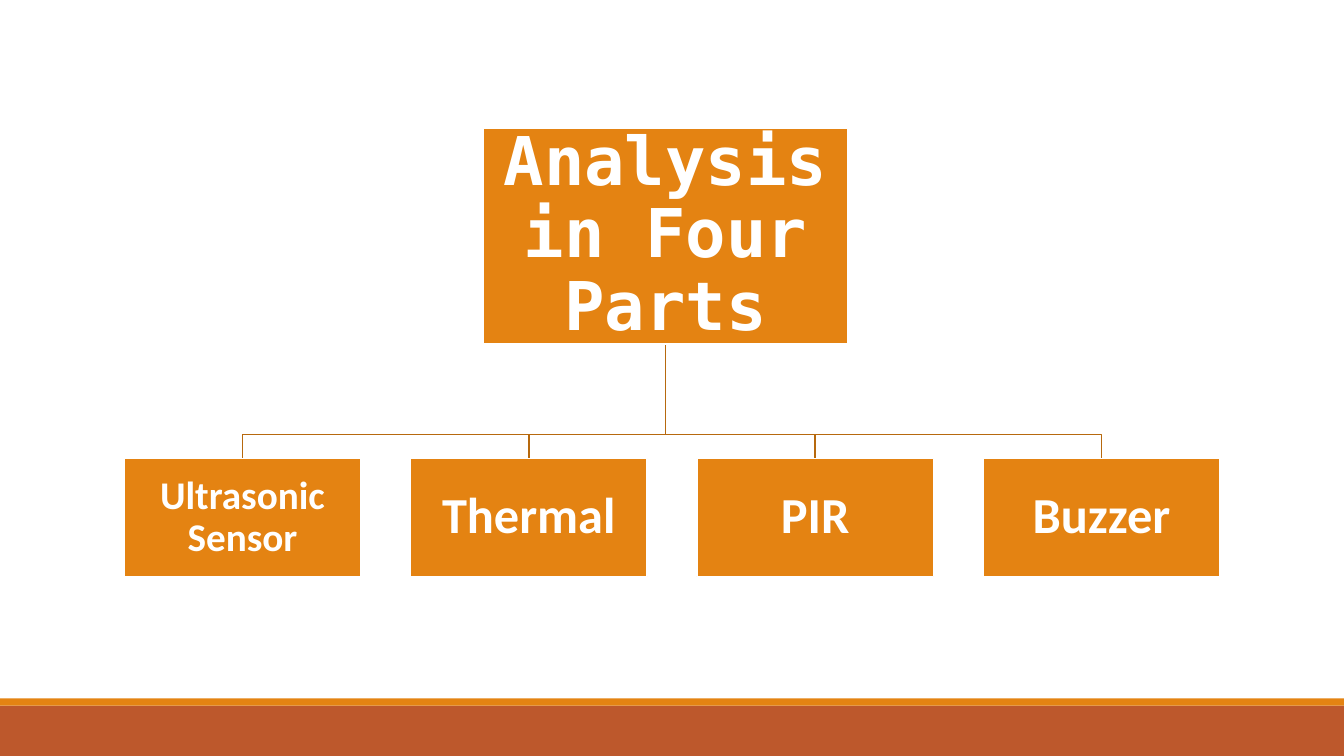
from dataclasses import dataclass

from pptx import Presentation
from pptx.dml.color import RGBColor
from pptx.enum.shapes import MSO_SHAPE
from pptx.enum.text import MSO_ANCHOR, PP_ALIGN
from pptx.shapes.autoshape import Shape
from pptx.slide import Slide
from pptx.util import Inches, Pt

COLOURS = {
    "orange": "E48312",
    "rust": "BD582C",
    "branch": "B7690E",
    "white": "FFFFFF",
}
SLIDE_WIDTH = 13.33
SLIDE_HEIGHT = 7.5
LINE_WIDTH = Pt(1.25)
PART_LEFT = 1.23
PART_TOP = 4.55
PART_PITCH = 2.84
BRANCH_TOP = 4.31


@dataclass(frozen=True)
class Box:
    text: str
    left: float
    top: float
    width: float
    height: float
    size: int
    font: str = "Calibri"
    inset: float = 0.03

    @property
    def centre(self) -> float:
        return self.left + self.width / 2

    @property
    def bottom(self) -> float:
        return self.top + self.height


def colour(name: str) -> RGBColor:
    return RGBColor.from_string(COLOURS[name])


def add_rectangle(slide: Slide, left: float, top: float, width: float,
                  height: float, fill: str) -> Shape:
    shape = slide.shapes.add_shape(
        MSO_SHAPE.RECTANGLE, Inches(left), Inches(top), Inches(width), Inches(height)
    )
    shape.shadow.inherit = False
    shape.fill.solid()
    shape.fill.fore_color.rgb = colour(fill)
    shape.line.fill.background()
    return shape


def add_branch(slide: Slide, parent: Box, child: Box) -> None:
    points = [
        (parent.centre, BRANCH_TOP),
        (child.centre, BRANCH_TOP),
        (child.centre, child.top),
    ]
    builder = slide.shapes.build_freeform(Inches(parent.centre), Inches(parent.bottom))
    builder.add_line_segments([(Inches(x), Inches(y)) for x, y in points], close=False)
    branch = builder.convert_to_shape()
    branch.shadow.inherit = False
    branch.fill.background()
    branch.line.color.rgb = colour("branch")
    branch.line.width = LINE_WIDTH


def add_box(slide: Slide, box: Box) -> None:
    shape = add_rectangle(slide, box.left, box.top, box.width, box.height, "orange")
    shape.line.color.rgb = colour("white")
    shape.line.width = LINE_WIDTH

    frame = shape.text_frame
    frame.word_wrap = True
    frame.vertical_anchor = MSO_ANCHOR.MIDDLE
    frame.margin_left = frame.margin_right = Inches(box.inset)
    frame.margin_top = frame.margin_bottom = Inches(box.inset)

    paragraph = frame.paragraphs[0]
    paragraph.alignment = PP_ALIGN.CENTER
    paragraph.line_spacing = 0.9
    run = paragraph.add_run()
    run.text = box.text
    run.font.name = box.font
    run.font.size = Pt(box.size)
    run.font.bold = True
    run.font.color.rgb = colour("white")


def main() -> None:
    presentation = Presentation()
    presentation.slide_width = Inches(SLIDE_WIDTH)
    presentation.slide_height = Inches(SLIDE_HEIGHT)
    slide = presentation.slides.add_slide(presentation.slide_layouts[6])

    add_rectangle(slide, 0, 7, SLIDE_WIDTH, 0.5, "rust")
    add_rectangle(slide, 0, 6.93, SLIDE_WIDTH, 0.07, "orange")

    heading = Box("Analysis in Four Parts", 4.79, 1.27, 3.62, 2.14, 48, "DejaVu Sans Mono")
    labels = [("Ultrasonic Sensor", 28), ("Thermal", 36), ("PIR", 36), ("Buzzer", 36)]
    parts = [
        Box(text, PART_LEFT + index * PART_PITCH, PART_TOP, 2.35, 1.17, size)
        for index, (text, size) in enumerate(labels)
    ]

    for part in reversed(parts):
        add_branch(slide, heading, part)
    for box in [heading, *parts]:
        add_box(slide, box)

    presentation.save("out.pptx")


if __name__ == "__main__":
    main()
